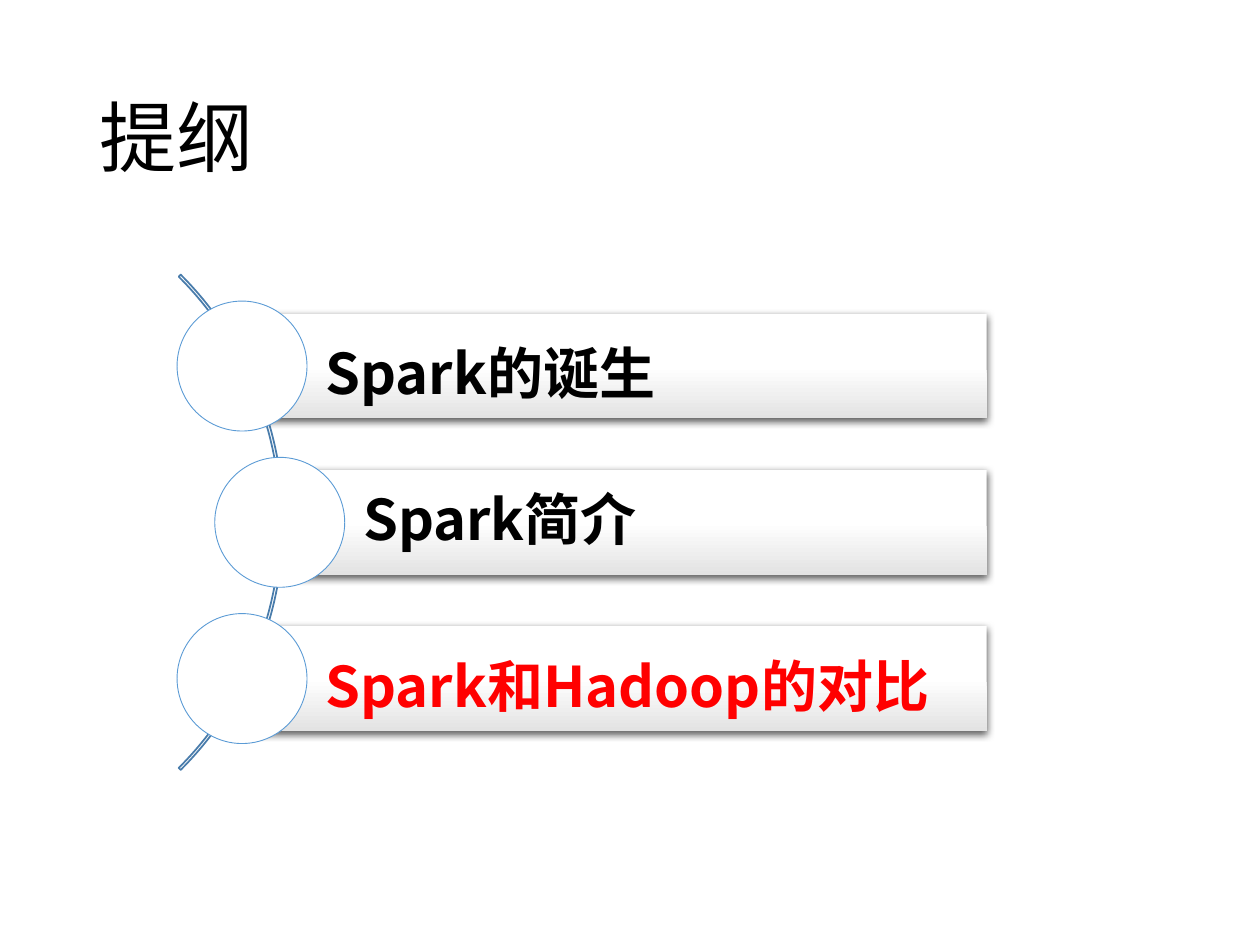
"""Build the outline slide: three topic bars strung along an arc."""
from dataclasses import dataclass

from lxml.etree import SubElement
from pptx import Presentation
from pptx.dml.color import RGBColor
from pptx.enum.shapes import MSO_SHAPE
from pptx.enum.text import MSO_ANCHOR, PP_ALIGN
from pptx.oxml.ns import qn
from pptx.util import Cm, Pt

FONT = "Noto Sans CJK SC"
BAR_RIGHT, BAR_HEIGHT = 19.89, 2.11
CIRCLE_SIZE = 2.62
ARC_SIZE, ARC_LEFT = 14.12, -8.41
MIDDLE, PITCH = 10.53, 3.15


@dataclass
class Topic:
    text: str
    left: float
    anchor: MSO_ANCHOR
    color: str = "000000"


TOPICS = [
    Topic("Spark的诞生", 4.88, MSO_ANCHOR.BOTTOM),
    Topic("Spark简介", 5.64, MSO_ANCHOR.MIDDLE),
    Topic("Spark和Hadoop的对比", 4.88, MSO_ANCHOR.BOTTOM, "FF0000"),
]


def rgb(color: str) -> RGBColor:
    return RGBColor.from_string(color)


def write(frame, text: str, size: float, color: str, bold: bool = False) -> None:
    frame.word_wrap = True
    para = frame.paragraphs[0]
    para.text = text
    para.alignment = PP_ALIGN.LEFT
    para.line_spacing = 0.9
    font = para.font
    font.name, font.size, font.bold = FONT, Pt(size), bold
    font.color.rgb = rgb(color)
    properties = para._p.pPr.find(qn("a:defRPr"))
    SubElement(properties, qn("a:ea"), typeface=FONT)


def add_outline(page, kind: MSO_SHAPE, left: float, top: float, size: float,
                line: str, width: float):
    shape = page.shapes.add_shape(kind, Cm(left), Cm(top), Cm(size), Cm(size))
    shape.shadow.inherit = False
    shape.line.color.rgb = rgb(line)
    shape.line.width = Pt(width)
    return shape


def add_shadow(shape) -> None:
    shape.shadow.inherit = False
    effects = shape._element.spPr.find(qn("a:effectLst"))
    shadow = SubElement(effects, qn("a:outerShdw"), blurRad=str(Pt(4.5)),
                        dist=str(Pt(1.5)), dir="5400000", algn="ctr", rotWithShape="0")
    color = SubElement(shadow, qn("a:srgbClr"), val="000000")
    SubElement(color, qn("a:alpha"), val="63000")


def add_topic(page, topic: Topic, center: float) -> None:
    bar = page.shapes.add_shape(
        MSO_SHAPE.RECTANGLE, Cm(topic.left), Cm(center - BAR_HEIGHT / 2),
        Cm(BAR_RIGHT - topic.left), Cm(BAR_HEIGHT))
    bar.line.fill.background()
    bar.fill.gradient()
    bar.fill.gradient_angle = 270
    stops = zip(bar.fill.gradient_stops, [(0.5, "FFFFFF"), (1, "E3E3E3")])
    for stop, (position, color) in stops:
        stop.position = position
        stop.color.rgb = rgb(color)
    add_shadow(bar)

    frame = bar.text_frame
    frame.margin_left = Cm(1.68)
    frame.margin_top = frame.margin_right = frame.margin_bottom = Cm(0.23)
    frame.vertical_anchor = topic.anchor
    write(frame, topic.text, 32, topic.color, bold=True)

    circle = add_outline(page, MSO_SHAPE.OVAL, topic.left - CIRCLE_SIZE / 2,
                         center - CIRCLE_SIZE / 2, CIRCLE_SIZE, "5B9BD5", 0.5)
    circle.fill.solid()
    circle.fill.fore_color.rgb = rgb("FFFFFF")


def main() -> None:
    deck = Presentation()
    deck.slide_width, deck.slide_height = Cm(25.4), Cm(19.05)
    page = deck.slides.add_slide(deck.slide_layouts[5])

    title = page.shapes.title
    title.left, title.top, title.width, title.height = Cm(1.75), Cm(1.02), Cm(21.9), Cm(3.68)
    title.text_frame.vertical_anchor = MSO_ANCHOR.MIDDLE
    write(title.text_frame, "提纲", 44, "000000")

    arc = add_outline(page, MSO_SHAPE.BLOCK_ARC, ARC_LEFT, MIDDLE - ARC_SIZE / 2,
                      ARC_SIZE, "497CAB", 1)
    arc.fill.background()
    for index, value in enumerate([189, 27, 0.004]):
        arc.adjustments[index] = value

    for index, topic in enumerate(TOPICS):
        add_topic(page, topic, MIDDLE + (index - 1) * PITCH)

    deck.save("out.pptx")


if __name__ == "__main__":
    main()
